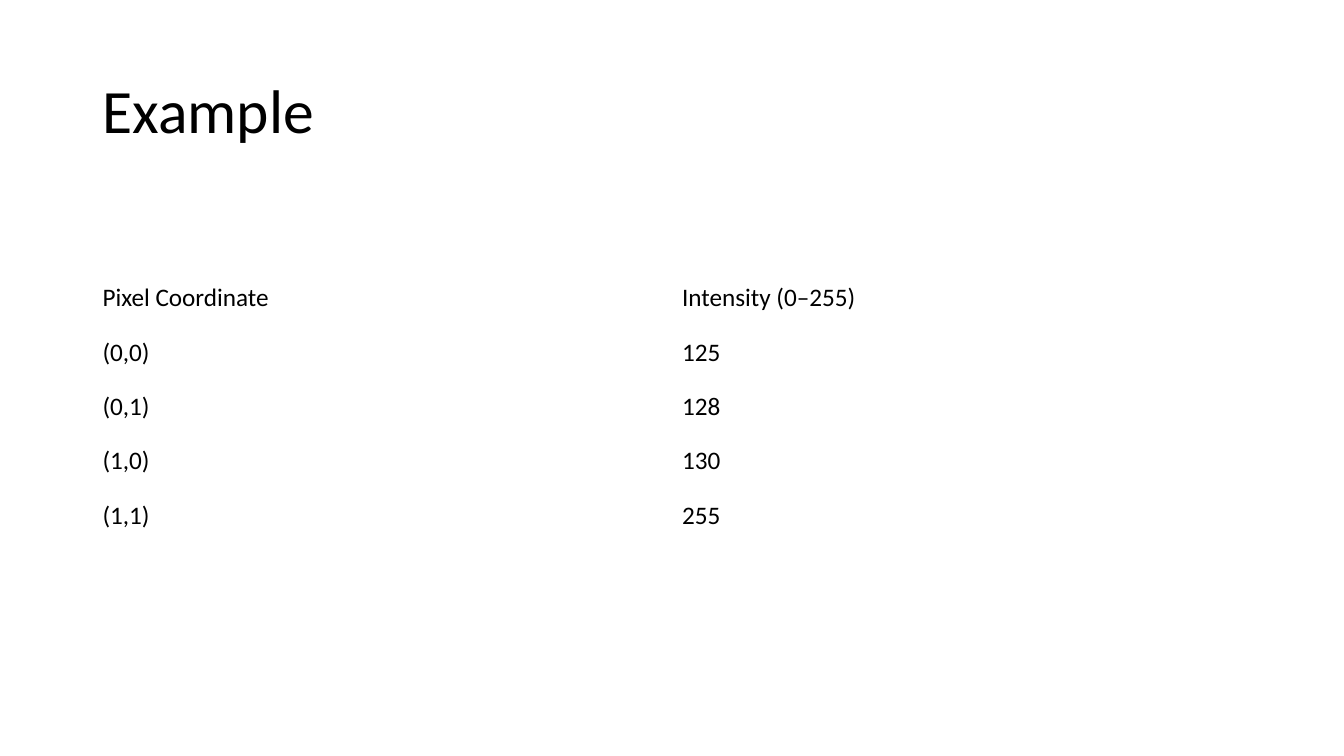
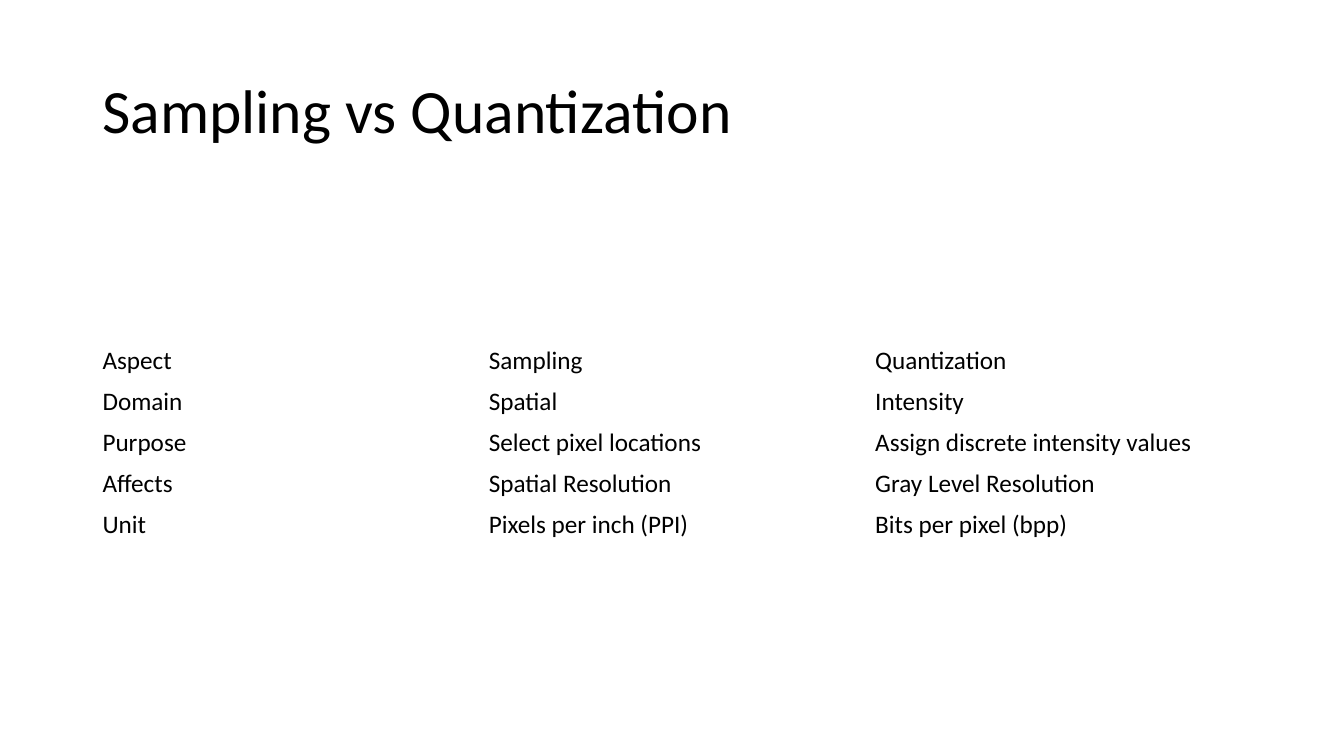
import pptx
import pptx.dml.color
import pptx.enum.text
import pptx.util

Cm = pptx.util.Cm
Pt = pptx.util.Pt
MIDDLE = pptx.enum.text.MSO_ANCHOR.MIDDLE

BLACK = pptx.dml.color.RGBColor(0x00, 0x00, 0x00)
TITLE_ONLY = 5


class Deck:
    font_name = "Calibri"
    left, width = Cm(2.33), Cm(29.21)
    title_top, title_height = Cm(1.01), Cm(3.68)
    title_size, body_size = Pt(44), Pt(18)

    def __init__(self):
        self.prs = pptx.Presentation()
        self.prs.slide_width = Cm(33.87)
        self.prs.slide_height = Cm(19.05)
        self.slide = None

    def style(self, p, size):
        p.alignment = pptx.enum.text.PP_ALIGN.LEFT
        p.font.name = self.font_name
        p.font.size = size
        p.font.color.rgb = BLACK

    def add_slide(self, title):
        layout = self.prs.slide_layouts[TITLE_ONLY]
        self.slide = self.prs.slides.add_slide(layout)
        sp = self.slide.shapes.title
        sp.left, sp.top = self.left, self.title_top
        sp.width, sp.height = self.width, self.title_height
        tf = sp.text_frame
        tf.text = title
        tf.word_wrap = True
        tf.auto_size = pptx.enum.text.MSO_AUTO_SIZE.NONE
        tf.vertical_anchor = MIDDLE
        p = tf.paragraphs[0]
        p.line_spacing = 0.9
        self.style(p, self.title_size)

    def add_table(self, rows, top, row_height):
        """Add an unfilled table with equal columns across the title's width."""
        table = self.slide.shapes.add_table(
            len(rows), len(rows[0]), self.left, top,
            self.width, row_height * len(rows)).table
        table.first_row = False
        table.horz_banding = False
        for r, texts in enumerate(rows):
            for c, text in enumerate(texts):
                cell = table.cell(r, c)
                cell.text = text
                cell.fill.background()
                cell.vertical_anchor = MIDDLE
                self.style(cell.text_frame.paragraphs[0], self.body_size)


def main():
    deck = Deck()

    deck.add_slide("Example")
    deck.add_table([
        ("Pixel Coordinate", "Intensity (0–255)"),
        ("(0,0)", "125"),
        ("(0,1)", "128"),
        ("(1,0)", "130"),
        ("(1,1)", "255"),
    ], top=Cm(6.83), row_height=Cm(1.37))

    deck.add_slide("Sampling vs Quantization")
    deck.add_table([
        ("Aspect", "Sampling", "Quantization"),
        ("Domain", "Spatial", "Intensity"),
        ("Purpose", "Select pixel locations", "Assign discrete intensity values"),
        ("Affects", "Spatial Resolution", "Gray Level Resolution"),
        ("Unit", "Pixels per inch (PPI)", "Bits per pixel (bpp)"),
    ], top=Cm(8.59), row_height=Cm(1.02))

    deck.prs.save("out.pptx")


if __name__ == "__main__":
    main()
